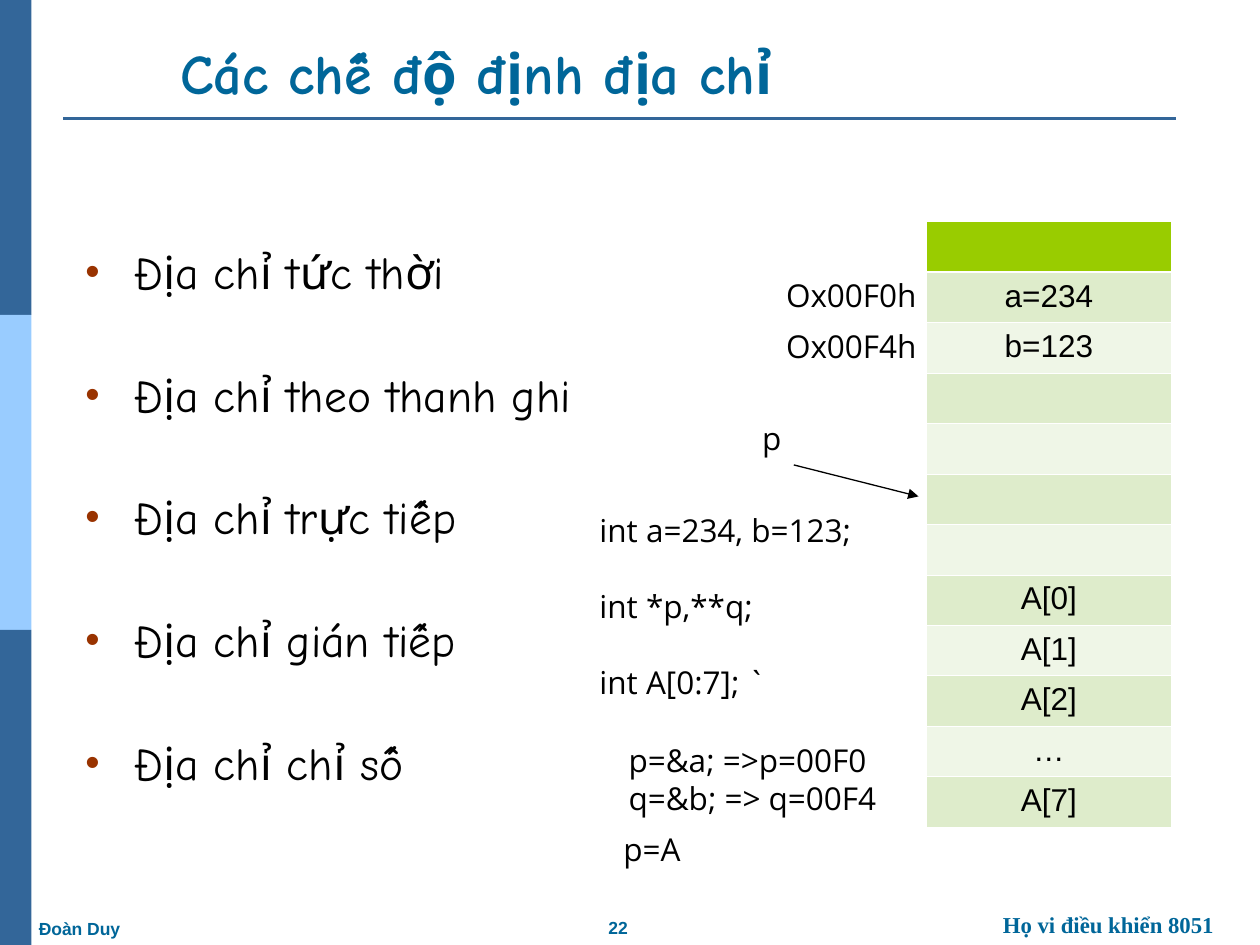
"""Build the slide on the addressing modes of the 8051."""
from lxml.etree import SubElement
from pptx import Presentation
from pptx.dml.color import RGBColor
from pptx.enum.shapes import MSO_CONNECTOR, MSO_SHAPE
from pptx.enum.text import MSO_ANCHOR, PP_ALIGN
from pptx.oxml.ns import qn
from pptx.util import Inches, Pt

BLACK = RGBColor(0x00, 0x00, 0x00)
WHITE = RGBColor(0xFF, 0xFF, 0xFF)
BLUE = RGBColor(0x33, 0x66, 0x99)
LIGHT_BLUE = RGBColor(0x99, 0xCC, 0xFF)
TITLE_BLUE = RGBColor(0x00, 0x66, 0x99)
BULLET_BROWN = RGBColor(0x99, 0x33, 0x00)
HEADER_GREEN = RGBColor(0x99, 0xCC, 0x00)
BAND_GREENS = [RGBColor(0xEF, 0xF6, 0xE7), RGBColor(0xDE, 0xEC, 0xCB)]


def write_text(frame, lines, font="Open Sans", size=18, color=BLACK, bold=False,
               align=PP_ALIGN.LEFT, spacing=None, before=0, after=0):
    for index, line in enumerate(lines):
        paragraph = frame.paragraphs[0] if index == 0 else frame.add_paragraph()
        paragraph.alignment = align
        paragraph.line_spacing = spacing
        paragraph.space_before = Pt(before if index else 0)
        paragraph.space_after = Pt(after)
        run = paragraph.add_run()
        run.text = line
        run.font.name = font
        run.font.size = Pt(size)
        run.font.bold = bold
        run.font.color.rgb = color


def add_line(shapes, start, end, color, width):
    line = shapes.add_connector(MSO_CONNECTOR.STRAIGHT, *map(Inches, start + end))
    line.line.color.rgb = color
    line.line.width = Pt(width)
    SubElement(line._element.spPr, qn("a:effectLst"))
    return line


presentation = Presentation()
presentation.slide_width = Inches(10)
presentation.slide_height = Inches(7.5)
slide = presentation.slides.add_slide(presentation.slide_layouts[5])
shapes = slide.shapes

for index, color in enumerate([BLUE, LIGHT_BLUE, BLUE]):
    band = shapes.add_shape(MSO_SHAPE.RECTANGLE, 0, Inches(2.5 * index),
                            Inches(0.25), Inches(2.5))
    band.shadow.inherit = False
    band.fill.solid()
    band.fill.fore_color.rgb = color
    band.line.fill.background()

add_line(shapes, (0.5, 0.94), (9.33, 0.94), BLUE, 1.5)

title = shapes.title
title.left, title.top, title.width, title.height = map(Inches, (1.33, 0.07, 7.34, 0.82))
title.text_frame.vertical_anchor = MSO_ANCHOR.BOTTOM
write_text(title.text_frame,
           ["Ca\u0301c ch\u00ea\u0301 \u0111\u00f4\u0323 \u0111\u1ecbnh \u0111i\u0323a chi\u0309"],
           font="Comic Neue", size=32, color=TITLE_BLUE, bold=True, spacing=1.5)

ADDRESS = "\u0110i\u0323a chi\u0309 "
modes = [
    ADDRESS + "t\u01b0\u0301c th\u01a1\u0300i",
    ADDRESS + "theo thanh ghi",
    ADDRESS + "tr\u01b0\u0323c ti\u00ea\u0301p",
    ADDRESS + "gia\u0301n ti\u00ea\u0301p",
    "\u0110\u1ecba ch\u1ec9 ch\u1ec9 s\u1ed1",
]
mode_list = shapes.add_textbox(*map(Inches, (0.58, 1.67, 9, 5.28)))
mode_list.text_frame.word_wrap = True
write_text(mode_list.text_frame, modes, font="Comic Neue", size=26,
           spacing=1.5, before=11.4, after=12)
for paragraph in mode_list.text_frame.paragraphs:
    properties = paragraph._p.get_or_add_pPr()
    properties.set("marL", str(Inches(0.38)))
    properties.set("indent", str(-Inches(0.38)))
    bullet_color = SubElement(properties, qn("a:buClr"))
    SubElement(bullet_color, qn("a:srgbClr"), val=str(BULLET_BROWN))
    SubElement(properties, qn("a:buSzPct"), val="90000")
    SubElement(properties, qn("a:buFont"), typeface="Arial")
    SubElement(properties, qn("a:buChar"), char="•")

footer = dict(color=TITLE_BLUE, bold=True, font="Arial", size=10)
labels = [
    ((4.47, 7.23, 0.87, 0.27), ["22"], dict(footer, align=PP_ALIGN.CENTER)),
    ((7.66, 7.18, 2.27, 0.32), ["Họ vi điều khiển 8051"],
     dict(footer, font="Times New Roman", size=13, align=PP_ALIGN.CENTER)),
    ((0.21, 7.24, 1.1, 0.27), ["Đoàn Duy"], footer),
    ((4.66, 4.01, 2.3, 1.6), ["int a=234, b=123;", "int *p,**q;", "int A[0:7]; `"],
     dict(before=21.6)),
    ((6.14, 2.14, 1.3, 0.4), ["Ox00F0h"], {}),
    ((6.14, 2.55, 1.3, 0.4), ["Ox00F4h"], {}),
    ((5.95, 3.28, 0.4, 0.4), ["p"], {}),
    ((4.89, 5.83, 2.3, 0.7), ["p=&a; =>p=00F0", "q=&b; => q=00F4"], {}),
    ((4.85, 6.54, 0.8, 0.4), ["p=A"], {}),
]
for box, lines, text_format in labels:
    label = shapes.add_textbox(*map(Inches, box))
    label.text_frame.word_wrap = True
    write_text(label.text_frame, lines, **text_format)

memory = ["", "a=234", "b=123", "", "", "", "", "A[0]", "A[1]", "A[2]", "…", "A[7]"]
table = shapes.add_table(len(memory), 1, *map(Inches, (7.35, 1.76, 1.95, 4.8))).table
for index, value in enumerate(memory):
    table.rows[index].height = Inches(0.4)
    cell = table.cell(index, 0)
    if value:
        write_text(cell.text_frame, [value], font="Arial", align=PP_ALIGN.CENTER)
    cell_properties = cell._tc.get_or_add_tcPr()
    for side in "LRTB":
        thick = (index, side) in [(0, "B"), (1, "T")]
        border = SubElement(cell_properties, qn("a:ln" + side),
                            w=str(Pt(1.47 if thick else 0.45)))
        border_fill = SubElement(border, qn("a:solidFill"))
        SubElement(border_fill, qn("a:srgbClr"), val=str(WHITE))
    cell.fill.solid()
    cell.fill.fore_color.rgb = BAND_GREENS[index % 2] if index else HEADER_GREEN

pointer = add_line(shapes, (6.3, 3.69), (7.29, 3.94), BLACK, 0.74)
SubElement(pointer.line._get_or_add_ln(), qn("a:tailEnd"), type="triangle")

presentation.save("out.pptx")
